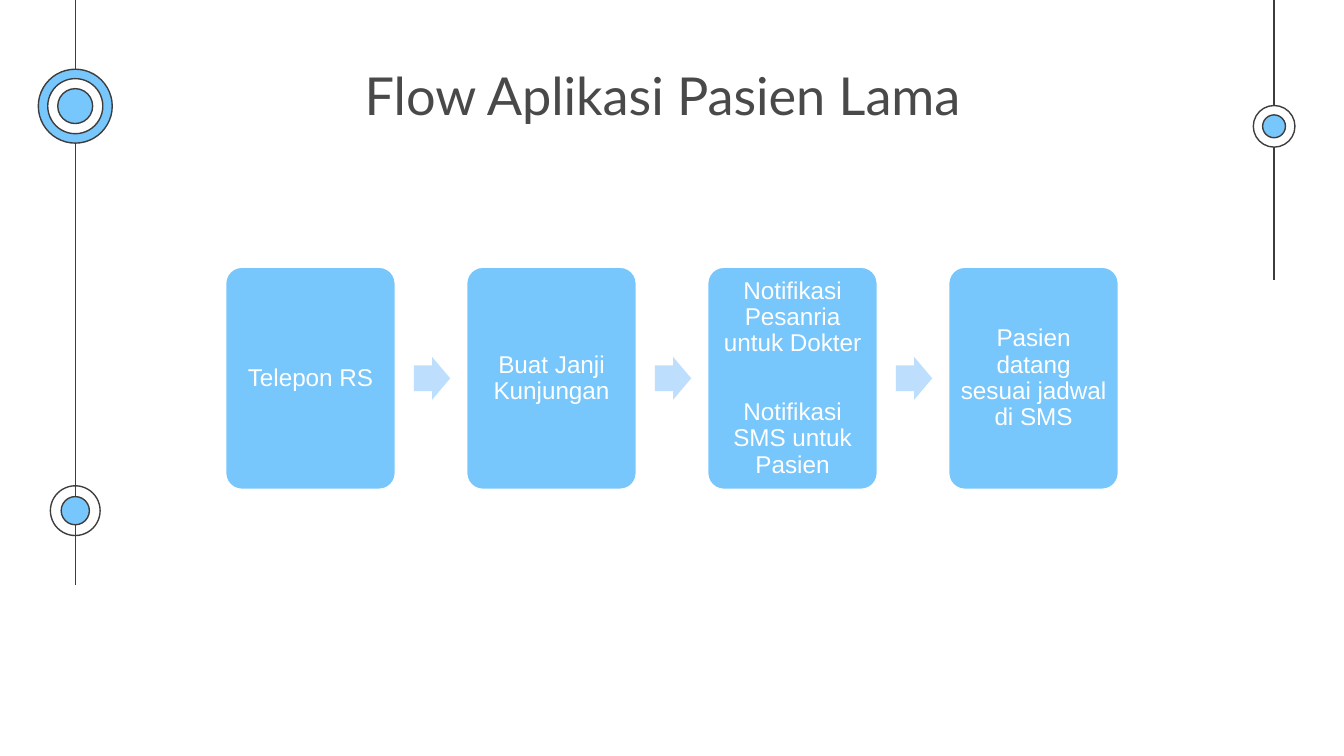
from typing import NamedTuple, Optional

from lxml.etree import SubElement
from pptx import Presentation
from pptx.dml.color import RGBColor
from pptx.enum.shapes import MSO_CONNECTOR, MSO_SHAPE
from pptx.enum.text import MSO_ANCHOR, PP_ALIGN
from pptx.oxml.ns import qn
from pptx.util import Inches, Pt

COLORS = {
    "outline": "3D3D3D",
    "title": "494949",
    "blue": "77C6FC",
    "pale_blue": "BDDFFD",
    "white": "FFFFFF",
}

LEFT_LINE_X, RIGHT_LINE_X = 0.56, 9.48
STEP_LEFT, STEP_TOP, STEP_WIDTH, STEP_HEIGHT = 1.67, 1.98, 1.28, 1.67
LAST_STEP_LEFT = 7.05
ARROW_OFFSET, ARROW_WIDTH, ARROW_HEIGHT = 1.41, 0.27, 0.32


class Rail(NamedTuple):
    x: float
    bottom: float


class Disc(NamedTuple):
    x: float
    y: float
    diameter: float
    fill: Optional[str]


class Step(NamedTuple):
    paragraphs: tuple[str, ...]


RAILS = [Rail(LEFT_LINE_X, 4.35), Rail(RIGHT_LINE_X, 2.08)]
DISCS = [
    Disc(LEFT_LINE_X, 3.8, 0.37, None),
    Disc(LEFT_LINE_X, 3.8, 0.21, "blue"),
    Disc(RIGHT_LINE_X, 0.94, 0.31, "white"),
    Disc(RIGHT_LINE_X, 0.94, 0.17, "blue"),
    Disc(LEFT_LINE_X, 0.79, 0.55, "blue"),
    Disc(LEFT_LINE_X, 0.79, 0.41, "white"),
    Disc(LEFT_LINE_X, 0.79, 0.26, "blue"),
]
STEPS = [
    Step(("Telepon RS",)),
    Step(("Buat Janji Kunjungan",)),
    Step(("Notifikasi Pesanria untuk Dokter", "Notifikasi SMS untuk Pasien")),
    Step(("Pasien datang sesuai jadwal di SMS",)),
]


def color(name: str) -> RGBColor:
    return RGBColor.from_string(COLORS[name])


def add_filled_shape(slide, kind, left: float, top: float, width: float,
                     height: float, fill: Optional[str],
                     line: Optional[str] = None, line_width: float = 0.75):
    shape = slide.shapes.add_shape(
        kind, Inches(left), Inches(top), Inches(width), Inches(height))
    shape.shadow.inherit = False
    if fill:
        shape.fill.solid()
        shape.fill.fore_color.rgb = color(fill)
    else:
        shape.fill.background()
    if line:
        shape.line.color.rgb = color(line)
        shape.line.width = Pt(line_width)
    else:
        shape.line.fill.background()
    return shape


def add_rail(slide, rail: Rail) -> None:
    connector = slide.shapes.add_connector(
        MSO_CONNECTOR.STRAIGHT, Inches(rail.x), Inches(0),
        Inches(rail.x), Inches(rail.bottom))
    connector.line.color.rgb = color("outline")
    connector.line.width = Pt(0.75)
    SubElement(connector._element.spPr, qn("a:effectLst"))


def add_disc(slide, disc: Disc) -> None:
    radius = disc.diameter / 2
    add_filled_shape(slide, MSO_SHAPE.OVAL, disc.x - radius, disc.y - radius,
                     disc.diameter, disc.diameter, disc.fill, "outline")


def write_text(shape, paragraphs: tuple[str, ...], inset: float, anchor,
               font: str, size: float, text_color: str,
               paragraph_format: dict) -> None:
    frame = shape.text_frame
    frame_format = {"word_wrap": True, "vertical_anchor": anchor}
    for side in ("left", "top", "right", "bottom"):
        frame_format[f"margin_{side}"] = Inches(inset)
    for name, value in frame_format.items():
        setattr(frame, name, value)
    for index, text in enumerate(paragraphs):
        paragraph = frame.add_paragraph() if index else frame.paragraphs[0]
        for name, value in paragraph_format.items():
            setattr(paragraph, name, value)
        # Gap between two messages in one step
        if index:
            paragraph.space_before = Pt(23)
        run = paragraph.add_run()
        run.text = text
        for name, value in {"name": font, "size": Pt(size)}.items():
            setattr(run.font, name, value)
        run.font.color.rgb = color(text_color)


def add_step(slide, step: Step, left: float) -> None:
    box = add_filled_shape(slide, MSO_SHAPE.ROUNDED_RECTANGLE, left, STEP_TOP,
                           STEP_WIDTH, STEP_HEIGHT, "blue", "white", 2)
    box.adjustments[0] = 0.1
    write_text(box, step.paragraphs, 0.05, MSO_ANCHOR.MIDDLE, "Arial", 13,
               "white", {"alignment": PP_ALIGN.CENTER, "line_spacing": 0.9})


def add_arrow(slide, left: float) -> None:
    top = STEP_TOP + (STEP_HEIGHT - ARROW_HEIGHT) / 2
    arrow = add_filled_shape(slide, MSO_SHAPE.RIGHT_ARROW, left, top,
                             ARROW_WIDTH, ARROW_HEIGHT, "pale_blue")
    arrow.adjustments[0] = 0.6
    arrow.adjustments[1] = 0.5


def main() -> None:
    # Widescreen 16:9 page
    presentation = Presentation()
    presentation.slide_width = Inches(10)
    presentation.slide_height = Inches(10 * 9 / 16)
    slide = presentation.slides.add_slide(presentation.slide_layouts[6])

    # Side rails and their discs
    for rail in RAILS:
        add_rail(slide, rail)
    for disc in DISCS:
        add_disc(slide, disc)

    # Title
    title = slide.shapes.add_textbox(
        Inches(1.88), Inches(0.37), Inches(6.1), Inches(0.65))
    write_text(title, ("Flow Aplikasi Pasien Lama",), 0.1, MSO_ANCHOR.TOP,
               "Lato", 28, "title", {"alignment": PP_ALIGN.CENTER})

    # Steps at an equal pitch, joined by arrows
    pitch = (LAST_STEP_LEFT - STEP_LEFT) / (len(STEPS) - 1)
    for index, step in enumerate(STEPS):
        left = STEP_LEFT + index * pitch
        add_step(slide, step, left)
        if index < len(STEPS) - 1:
            add_arrow(slide, left + ARROW_OFFSET)

    presentation.save("out.pptx")


if __name__ == "__main__":
    main()
